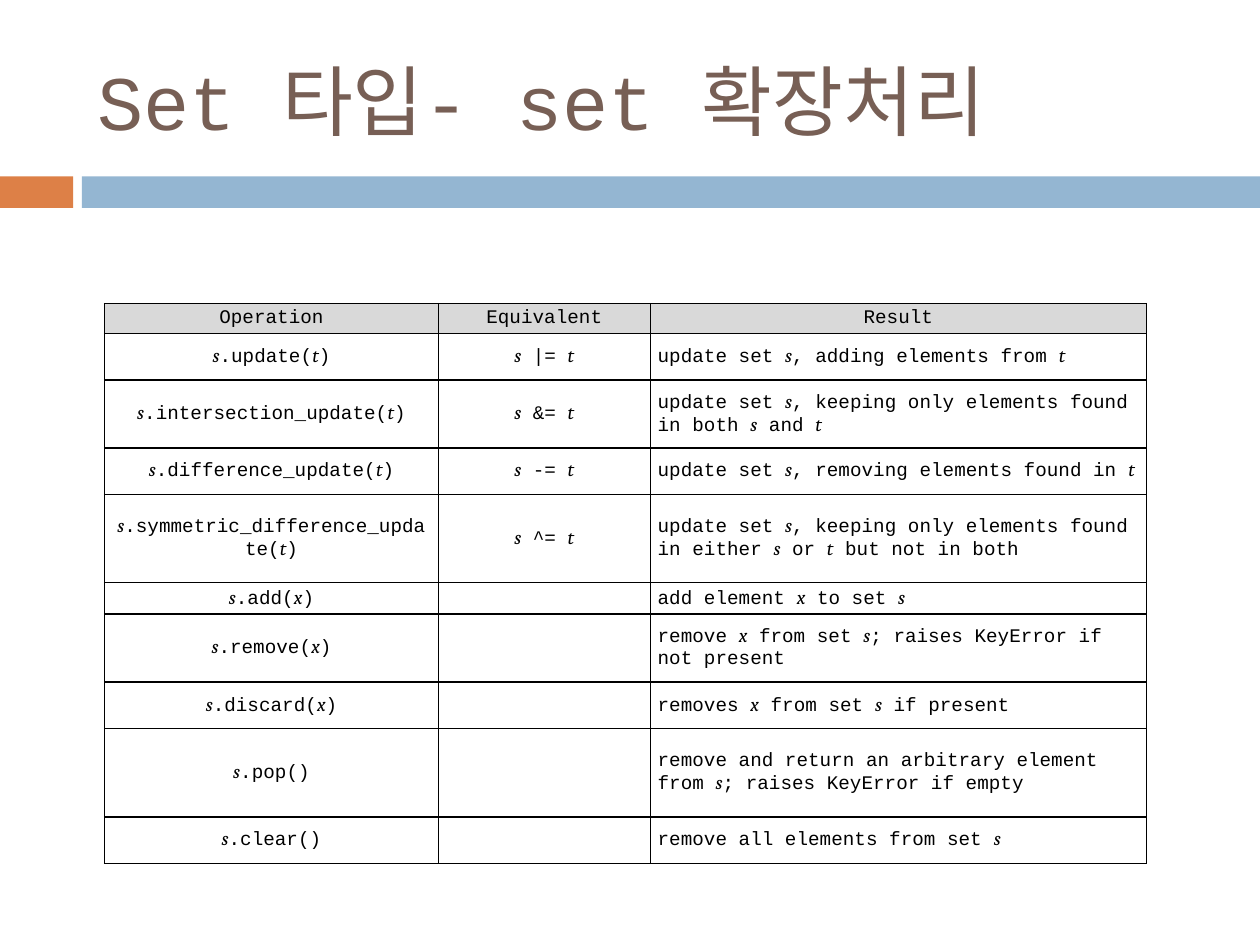
"""Build a slide with a table of the in-place set operations."""
from lxml.etree import SubElement
from pptx import Presentation
from pptx.dml.color import RGBColor
from pptx.enum.shapes import MSO_SHAPE
from pptx.enum.text import MSO_ANCHOR, PP_ALIGN
from pptx.oxml.ns import qn
from pptx.util import Inches, Pt

ORANGE = RGBColor(0xDD, 0x80, 0x47)
BLUE = RGBColor(0x94, 0xB6, 0xD2)
BROWN = RGBColor(0x77, 0x5F, 0x55)
GRAY = RGBColor(0xD9, 0xD9, 0xD9)
WHITE = RGBColor(0xFF, 0xFF, 0xFF)
BLACK = RGBColor(0, 0, 0)
CODE_FONT = "Courier New"
VARIABLE_FONT = "Cambria"
NO_BREAK_SPACE = chr(160)
THICK, THIN = 1, 0.6

OPERATIONS = [
    ("Operation", "Equivalent", "Result"),
    ("*s*.update(*t*)", "*s*~|=~*t*", "update set~*s*, adding elements from~*t*"),
    ("*s*.intersection_update(*t*)", "*s*~&=~*t*",
     "update set~*s*, keeping only elements found in both~*s*~and~*t*"),
    ("*s*.difference_update(*t*)", "*s*~-=~*t*",
     "update set~*s*, removing elements found in~*t*"),
    ("*s*.symmetric_difference_update(*t*)", "*s*~^=~*t*",
     "update set~*s*, keeping only elements found in either~*s*~or~*t*~but not in both"),
    ("*s*.add(*x*)", "", "add element~*x*~to set~*s*"),
    ("*s*.remove(*x*)", "",
     "remove~*x*~from set~*s*; raises KeyError if not present"),
    ("*s*.discard(*x*)", "", "removes~*x*~from set~*s*~if present"),
    ("*s*.pop()", "",
     "remove and return an arbitrary element from~*s*; raises~KeyError~if empty"),
    ("*s*.clear()", "", "remove all elements from set~*s*"),
]
COLUMN_WIDTHS = [2.65, 1.68, 3.94]
ROW_HEIGHTS = [0.23, 0.37, 0.54, 0.37, 0.7, 0.24, 0.54, 0.37, 0.7, 0.37]


def add_marked_text(paragraph, text):
    """Add runs, setting the parts between asterisks as variables."""
    for position, part in enumerate(text.replace("~", NO_BREAK_SPACE).split("*")):
        if part:
            run = paragraph.add_run()
            run.text = part
            run.font.size = Pt(11)
            run.font.color.rgb = BLACK
            run.font.italic = position % 2 == 1
            run.font.name = VARIABLE_FONT if run.font.italic else CODE_FONT


def add_borders(cell, widths):
    """Draw the left, right, top and bottom borders of a cell."""
    properties = cell._tc.get_or_add_tcPr()
    for side, width in zip("LRTB", widths):
        line = SubElement(properties, qn(f"a:ln{side}"), w=str(Pt(width)))
        fill = SubElement(line, qn("a:solidFill"))
        SubElement(fill, qn("a:srgbClr"), val=str(BLACK))


presentation = Presentation()
presentation.slide_width = Inches(10)
presentation.slide_height = Inches(7.5)
slide = presentation.slides.add_slide(presentation.slide_layouts[5])

for left, width, color in [(0, 0.58, ORANGE), (0.65, 9.35, BLUE)]:
    band = slide.shapes.add_shape(
        MSO_SHAPE.RECTANGLE, Inches(left), Inches(1.4), Inches(width), Inches(0.25))
    band.shadow.inherit = False
    band.fill.solid()
    band.fill.fore_color.rgb = color
    band.line.fill.background()

title = slide.shapes.title
title.left, title.top = Inches(0.67), Inches(0.25)
title.width, title.height = Inches(8.92), Inches(1.08)
title.text_frame.vertical_anchor = MSO_ANCHOR.MIDDLE
heading = title.text_frame.paragraphs[0]
heading.alignment = PP_ALIGN.LEFT
heading_run = heading.add_run()
heading_run.text = "Set 타입- set 확장처리"
heading_run.font.size = Pt(44)
heading_run.font.name = CODE_FONT
heading_run.font.color.rgb = BROWN
SubElement(heading_run._r.get_or_add_rPr(), qn("a:ea"), typeface=CODE_FONT)

operations = slide.shapes.add_table(
    len(OPERATIONS), len(COLUMN_WIDTHS), Inches(0.83), Inches(2.41),
    Inches(sum(COLUMN_WIDTHS)), Inches(sum(ROW_HEIGHTS))).table
for column, width in zip(operations.columns, COLUMN_WIDTHS):
    column.width = Inches(width)
for row, height in zip(operations.rows, ROW_HEIGHTS):
    row.height = Inches(height)

last_row, last_column = len(OPERATIONS) - 1, len(COLUMN_WIDTHS) - 1
for row_index, texts in enumerate(OPERATIONS):
    for column_index, text in enumerate(texts):
        cell = operations.cell(row_index, column_index)
        add_borders(cell, [
            THICK if column_index == 0 else THIN,
            THICK if column_index == last_column else THIN,
            THICK,
            THIN if row_index == last_row else THICK,
        ])
        cell.fill.solid()
        cell.fill.fore_color.rgb = GRAY if row_index == 0 else WHITE
        cell.vertical_anchor = MSO_ANCHOR.MIDDLE
        cell.margin_left = cell.margin_right = Inches(0.06)
        cell.margin_top = cell.margin_bottom = Inches(0.03)
        paragraph = cell.text_frame.paragraphs[0]
        is_result = column_index == last_column and row_index > 0
        paragraph.alignment = PP_ALIGN.LEFT if is_result else PP_ALIGN.CENTER
        add_marked_text(paragraph, text)
        if not text:
            SubElement(paragraph._p, qn("a:endParaRPr"), sz="1100")

presentation.save("out.pptx")
